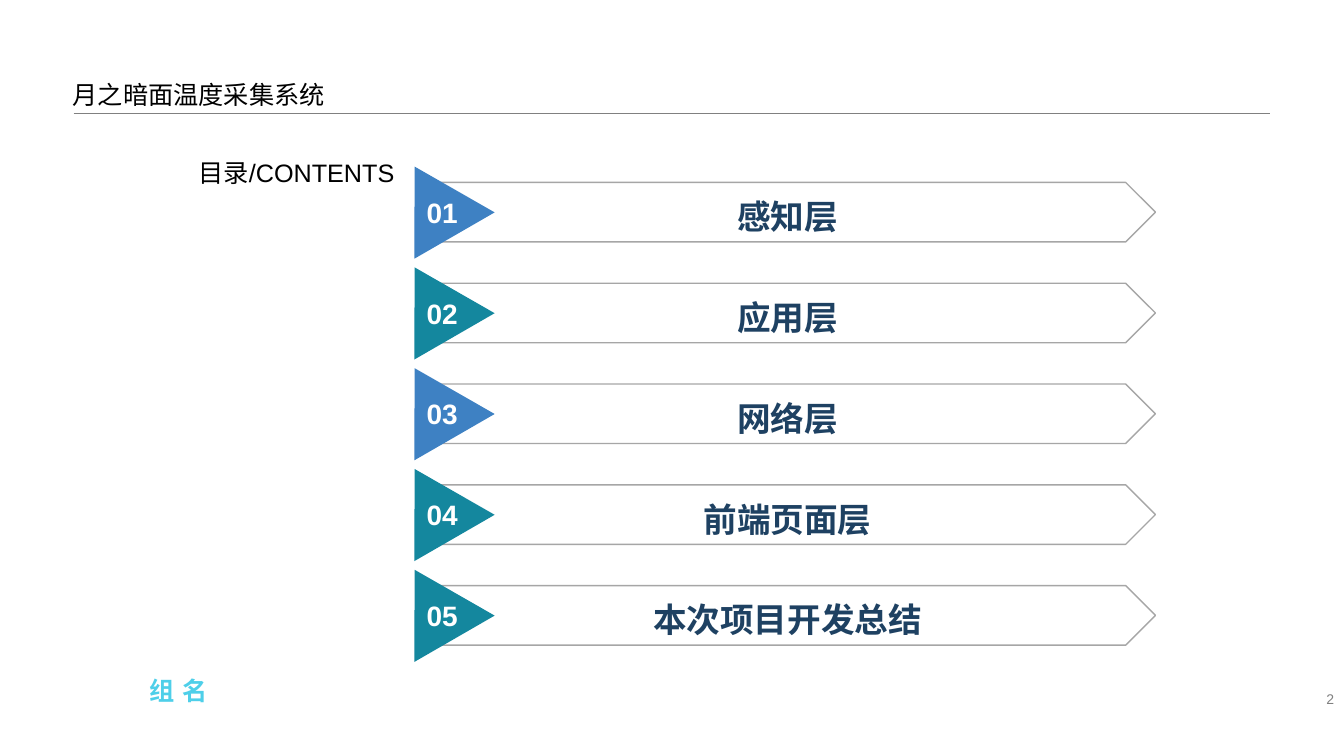
from lxml import etree
from pptx import Presentation
from pptx.dml.color import RGBColor
from pptx.enum.shapes import MSO_CONNECTOR, MSO_SHAPE
from pptx.enum.text import MSO_ANCHOR, MSO_AUTO_SIZE, PP_ALIGN
from pptx.oxml.ns import qn
from pptx.util import Emu, Pt

STRAIGHT = MSO_CONNECTOR.STRAIGHT
PLATE, WEDGE = MSO_SHAPE.PENTAGON, MSO_SHAPE.ISOSCELES_TRIANGLE
TOP, MIDDLE = MSO_ANCHOR.TOP, MSO_ANCHOR.MIDDLE
LEFT, CENTER, RIGHT = PP_ALIGN.LEFT, PP_ALIGN.CENTER, PP_ALIGN.RIGHT
FIXED = MSO_AUTO_SIZE.NONE

FONT = "Arial"
BLACK, WHITE, GREY, EDGE = "000000", "FFFFFF", "808080", "A6A6A6"
NAVY, BLUE, TEAL, CYAN = "1E4162", "3E81C3", "14879E", "4ECFE9"

ITEMS = [
    ("感知层", BLUE),
    ("应用层", TEAL),
    ("网络层", BLUE),
    ("前端页面层", TEAL),
    ("本次项目开发总结", TEAL),
]
FIRST, PITCH = 181, 100


def px(n):
    """Turn px (100 to the inch) into EMU."""
    return Emu(n * 9144)


def color(code):
    return RGBColor.from_string(code)


class Page:
    def __init__(self, deck):
        self.slide = deck.slides.add_slide(deck.slide_layouts[5])
        self.shapes = self.slide.shapes

    def letter(self, shape, text, size, ink, bold=False, align=LEFT, anchor=TOP):
        """Set and format one paragraph; return it."""
        frame = shape.text_frame
        frame.text = text
        frame.word_wrap = True
        frame.auto_size = FIXED
        frame.vertical_anchor = anchor
        para = frame.paragraphs[0]
        para.alignment = align
        font = para.runs[0].font
        font.name, font.size, font.bold = FONT, Pt(size), bold
        font.color.rgb = color(ink)
        return para

    def title(self, box, text, size, ink):
        shape = self.shapes.title
        shape.left, shape.top, shape.width, shape.height = map(px, box)
        self.letter(shape, text, size, ink)

    def label(self, box, text, size, ink, home=None, **style):
        shape = (home or self.shapes).add_textbox(*map(px, box))
        return self.letter(shape, text, size, ink, **style)

    def shape(self, home, kind, box, fill=None, edge=None):
        shape = home.add_shape(kind, *map(px, box))
        shape.shadow.inherit = False
        if fill:
            shape.fill.solid()
            shape.fill.fore_color.rgb = color(fill)
        else:
            shape.fill.background()
        if edge:
            shape.line.color.rgb = color(edge)
            shape.line.width = Pt(1)
        else:
            shape.line.fill.background()
        return shape

    def rule(self, ends, ink, width):
        line = self.shapes.add_connector(STRAIGHT, *map(px, ends))
        line.line.color.rgb = color(ink)
        line.line.width = Pt(width)
        etree.SubElement(line._element.spPr, qn("a:effectLst"))

    def entry(self, top, number, text, fill):
        """Draw one row of the contents as a group."""
        home = self.shapes.add_group_shape().shapes
        plate = self.shape(home, PLATE, (431, top, 715, 59), edge=EDGE)
        para = self.letter(plate, text, 24, NAVY, True, CENTER, MIDDLE)
        para.line_spacing = 1.2
        wedge = self.shape(home, WEDGE, (385, top - 21, 92, 79), fill=fill)
        wedge.rotation = 330
        # The box is widened evenly so that the digits stay on one line.
        self.label((403, top + 6, 71, 47), number, 20, WHITE, home,
                   bold=True, align=CENTER, anchor=MIDDLE)


def main():
    deck = Presentation()
    deck.slide_width, deck.slide_height = px(1333), px(750)
    page = Page(deck)
    page.rule((73, 112, 1260, 112), GREY, 0.25)
    page.title((62, 74, 597, 40), "月之暗面温度采集系统", 18, BLACK)
    page.label((187, 151, 224, 40), "目录/CONTENTS", 18, BLACK)
    for i, (text, fill) in enumerate(ITEMS):
        page.entry(FIRST + i * PITCH, f"{i + 1:02}", text, fill)
    team = page.label((138, 668, 785, 37), "组名", 18, CYAN, bold=True)
    team.line_spacing = 0.9
    team.space_before = Pt(10)
    team.runs[0]._r.get_or_add_rPr().set("spc", "600")
    page.label((1015, 682, 318, 23), "2", 10, GREY, align=RIGHT, anchor=MIDDLE)
    deck.save("out.pptx")


if __name__ == "__main__":
    main()
